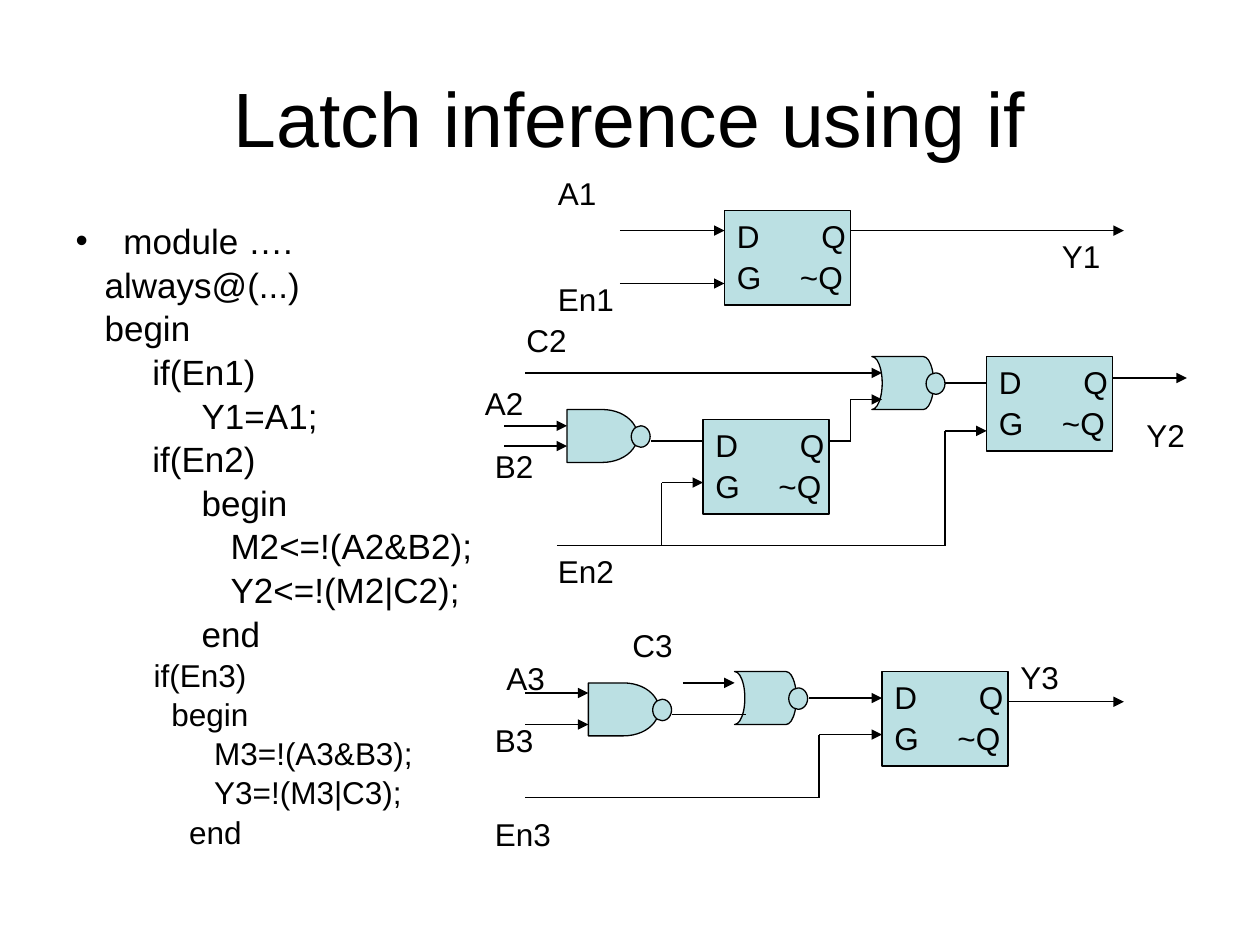
from dataclasses import dataclass
from itertools import pairwise

from lxml.etree import SubElement
from pptx import Presentation
from pptx.dml.color import RGBColor
from pptx.enum.shapes import MSO_CONNECTOR, MSO_SHAPE
from pptx.enum.text import MSO_ANCHOR, MSO_AUTO_SIZE, PP_ALIGN
from pptx.oxml.ns import qn
from pptx.util import Inches, Pt

BLACK, PALE_TEAL = "000000", "BBE0E3"
LINE_WIDTH = Pt(0.75)
Point = tuple[float, float]


@dataclass
class Label:
    text: str
    left: float
    top: float
    width: float = 0.75


@dataclass
class Gate:
    body: MSO_SHAPE
    left: float
    top: float
    width: float
    bubble: float
    turn: int = 0


@dataclass
class Wire:
    points: list[Point]
    arrow: bool = True


@dataclass
class CodeLine:
    text: str
    indent: float
    size: int = 20


def nand(left: float, top: float) -> Gate:
    return Gate(MSO_SHAPE.FLOWCHART_DELAY, left, top, 0.56, 0.51)


def nor(left: float, top: float) -> Gate:
    return Gate(MSO_SHAPE.FLOWCHART_STORED_DATA, left, top, 0.49, 0.43, 180)


CODE = [
    CodeLine("module ….", 0.38),
    CodeLine("always@(...)", 0.23),
    CodeLine("begin", 0.23),
    CodeLine("if(En1)", 0.61),
    CodeLine("Y1=A1;", 1.0),
    CodeLine("if(En2)", 0.61),
    CodeLine("begin", 1.0),
    CodeLine("M2<=!(A2&B2);", 1.23),
    CodeLine("Y2<=!(M2|C2);", 1.23),
    CodeLine("end", 1.0),
    CodeLine("if(En3)", 0.62, 18),
    CodeLine("begin", 0.76, 18),
    CodeLine("M3=!(A3&B3);", 1.1, 18),
    CodeLine("Y3=!(M3|C3);", 1.1, 18),
    CodeLine("end", 0.9, 18),
]
PINS = [Label("D", 0, 0, 0.58), Label("G", 0, 0.33),
        Label("Q", 0.67, 0, 0.58), Label("~Q", 0.5, 0.33, 0.58)]
LATCHES = [(5.75, 1.67), (7.83, 2.83), (5.58, 3.33), (7, 5.33)]
GATES = [nand(4.5, 3.25), nor(6.92, 2.83), nand(4.67, 5.42), nor(5.83, 5.33)]
WIRES = [
    # Y1
    Wire([(4.92, 1.83), (5.75, 1.83)]),
    Wire([(4.92, 2.25), (5.75, 2.25)]),
    Wire([(6.75, 1.83), (8.92, 1.83)]),
    # Y2
    Wire([(4.17, 2.96), (7, 2.96)]),
    Wire([(4, 3.38), (4.5, 3.38)]),
    Wire([(4, 3.54), (4.5, 3.54)]),
    Wire([(5.17, 3.5), (5.58, 3.5)], arrow=False),
    Wire([(6.58, 3.5), (6.75, 3.5), (6.75, 3.17), (7, 3.17)]),
    Wire([(7.5, 3.04), (7.83, 3.04)], arrow=False),
    Wire([(4.42, 4.33), (7.5, 4.33), (7.5, 3.42), (7.83, 3.42)]),
    Wire([(5.25, 4.33), (5.25, 3.83), (5.58, 3.83)]),
    Wire([(8.83, 3), (9.42, 3)]),
    # Y3
    Wire([(4.17, 5.5), (4.67, 5.5)]),
    Wire([(4.17, 5.75), (4.67, 5.75)]),
    Wire([(5.33, 5.67), (5.92, 5.67)], arrow=False),
    Wire([(5.42, 5.42), (5.83, 5.42)]),
    Wire([(6.42, 5.54), (7, 5.54)]),
    Wire([(4.17, 6.33), (6.5, 6.33), (6.5, 5.83), (7, 5.83)]),
    Wire([(8, 5.57), (8.92, 5.57)]),
]
SIGNALS = [
    Label("A1", 4.33, 1.33), Label("En1", 4.33, 2.17), Label("Y1", 8.33, 1.83),
    Label("A2", 3.75, 3), Label("B2", 3.83, 3.5), Label("C2", 4.08, 2.5),
    Label("En2", 4.33, 4.33, 0.92), Label("Y2", 9, 3.25),
    Label("A3", 3.92, 5.18), Label("B3", 3.83, 5.67), Label("C3", 4.92, 4.92),
    Label("En3", 3.83, 6.42, 0.92), Label("Y3", 8, 5.17),
]


def color(hex_code: str) -> RGBColor:
    return RGBColor.from_string(hex_code)


def style(paragraph, size: float) -> None:
    for run in paragraph.runs:
        run.font.name = "Arial"
        run.font.size = Pt(size)
        run.font.color.rgb = color(BLACK)


def place(shape, left: float, top: float, width: float, height: float) -> None:
    shape.left, shape.top = Inches(left), Inches(top)
    shape.width, shape.height = Inches(width), Inches(height)


def draw_shape(slide, kind: MSO_SHAPE, left: float, top: float,
               width: float, height: float, turn: int = 0) -> None:
    shape = slide.shapes.add_shape(
        kind, Inches(left), Inches(top), Inches(width), Inches(height))
    shape.rotation = turn
    shape.shadow.inherit = False
    shape.fill.solid()
    shape.fill.fore_color.rgb = color(PALE_TEAL)
    shape.line.color.rgb = color(BLACK)
    shape.line.width = LINE_WIDTH


def draw_label(slide, label: Label, left: float = 0, top: float = 0) -> None:
    box = slide.shapes.add_textbox(
        Inches(left + label.left), Inches(top + label.top),
        Inches(label.width), Inches(0.4))
    box.text_frame.word_wrap = True
    box.text_frame.text = label.text
    style(box.text_frame.paragraphs[0], 18)


def draw_latch(slide, left: float, top: float) -> None:
    draw_shape(slide, MSO_SHAPE.RECTANGLE, left, top, 1, 0.75)
    for pin in PINS:
        draw_label(slide, pin, left, top)


def draw_gate(slide, gate: Gate) -> None:
    draw_shape(slide, gate.body, gate.left, gate.top, gate.width, 0.42, gate.turn)
    draw_shape(slide, MSO_SHAPE.OVAL, gate.left + gate.bubble, gate.top + 0.13, 0.15, 0.17)


def draw_wire(slide, wire: Wire) -> None:
    """Draw each segment, with the arrowhead on the last one."""
    for start, end in pairwise(wire.points):
        segment = slide.shapes.add_connector(
            MSO_CONNECTOR.STRAIGHT, *(Inches(value) for value in start + end))
        segment.line.color.rgb = color(BLACK)
        segment.line.width = LINE_WIDTH
        properties = segment.element.spPr
        SubElement(properties, qn("a:effectLst"))
        if wire.arrow and end == wire.points[-1]:
            SubElement(properties.find(qn("a:ln")), qn("a:tailEnd"), type="triangle")


def write_title(slide) -> None:
    title = slide.shapes.title
    place(title, 0.5, 0.3, 9, 1.25)
    title.text_frame.text = "Latch inference using if"
    title.text_frame.vertical_anchor = MSO_ANCHOR.MIDDLE
    title.text_frame.paragraphs[0].alignment = PP_ALIGN.CENTER
    style(title.text_frame.paragraphs[0], 44)


def write_code(slide) -> None:
    body = slide.placeholders[1]
    place(body, 0.5, 1.75, 4.83, 4.95)
    frame = body.text_frame
    frame.text = "\n".join(line.text for line in CODE)
    frame.auto_size = MSO_AUTO_SIZE.NONE
    for number, (paragraph, line) in enumerate(zip(frame.paragraphs, CODE)):
        paragraph.line_spacing = 0.83
        paragraph.space_before = Pt(line.size / 4)
        style(paragraph, line.size)
        properties = paragraph._p.get_or_add_pPr()
        properties.set("marL", str(Inches(line.indent)))
        properties.set("indent", str(Inches(0 if number else -line.indent)))
        if number:
            SubElement(properties, qn("a:buNone"))
        else:
            SubElement(properties, qn("a:buChar"), char="•")


def main() -> None:
    deck = Presentation()
    deck.slide_width, deck.slide_height = Inches(10), Inches(7.5)
    slide = deck.slides.add_slide(deck.slide_layouts[1])
    write_title(slide)
    write_code(slide)
    for left, top in LATCHES:
        draw_latch(slide, left, top)
    for gate in GATES:
        draw_gate(slide, gate)
    for wire in WIRES:
        draw_wire(slide, wire)
    for signal in SIGNALS:
        draw_label(slide, signal)
    deck.save("out.pptx")


if __name__ == "__main__":
    main()
